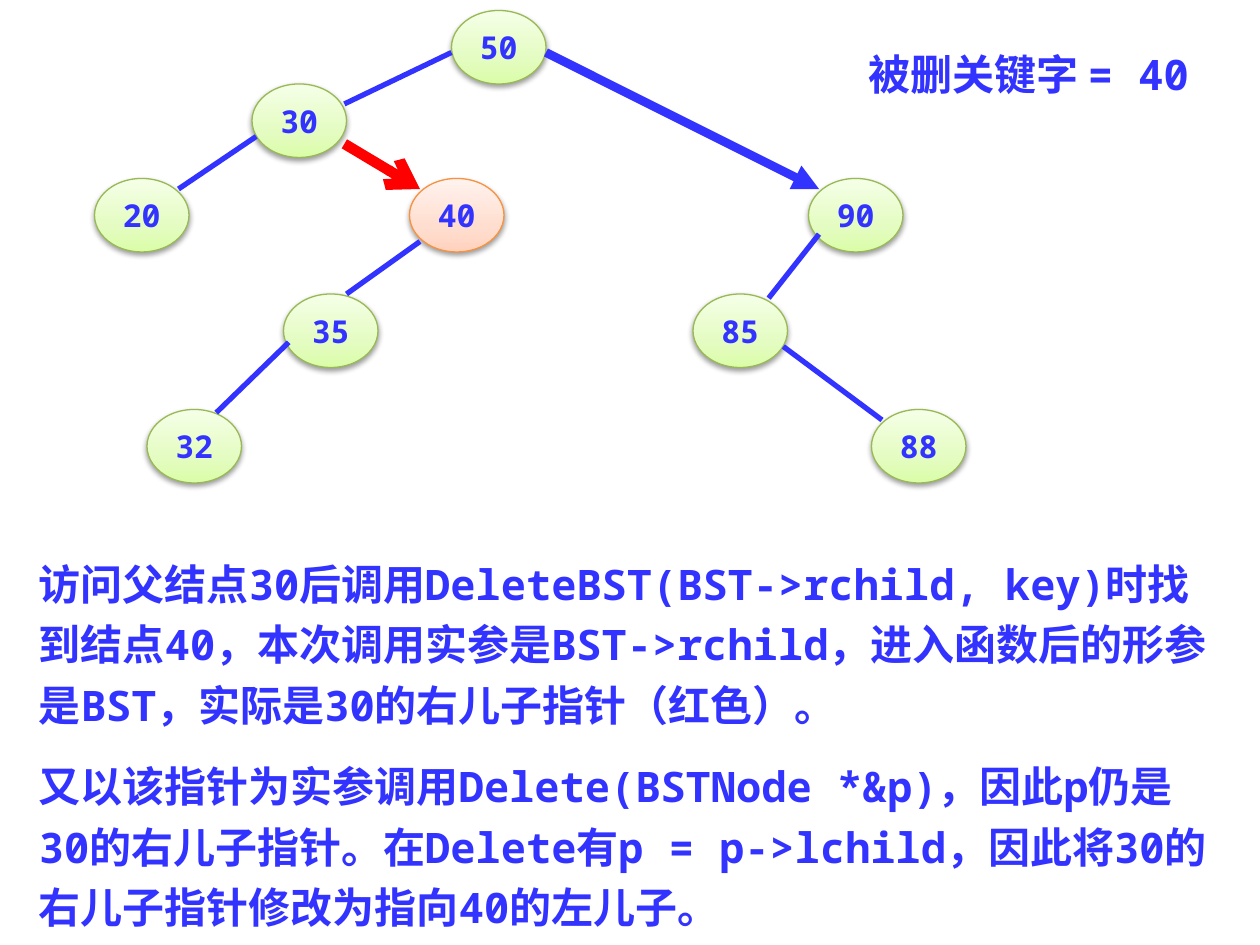
from dataclasses import dataclass

from lxml import etree
from pptx import Presentation
from pptx.dml.color import RGBColor
from pptx.enum.shapes import MSO_CONNECTOR, MSO_SHAPE
from pptx.enum.text import MSO_ANCHOR, MSO_AUTO_SIZE, PP_ALIGN
from pptx.oxml.ns import qn
from pptx.util import Inches, Pt

STRAIGHT = MSO_CONNECTOR.STRAIGHT
OVAL = MSO_SHAPE.OVAL
TOP, MIDDLE = MSO_ANCHOR.TOP, MSO_ANCHOR.MIDDLE
LEFT, CENTER = PP_ALIGN.LEFT, PP_ALIGN.CENTER
FIT_SHAPE = MSO_AUTO_SIZE.SHAPE_TO_FIT_TEXT

CELL = Inches(1) // 12  # the slide is a grid of 120 columns by 90 rows
NODE_COLUMNS, NODE_ROWS = 9, 7


@dataclass(frozen=True)
class NodeStyle:
    outline: str
    stops: tuple[tuple[int, str], ...]  # percent and colour, bottom to top


@dataclass(frozen=True)
class Theme:
    font: str = "Noto Sans Mono"
    ink: str = "3333FF"
    alert: str = "FF0000"
    text_size: int = 24
    node_size: int = 18
    plain: NodeStyle = NodeStyle(
        "98B955", ((0, "DAFDA7"), (35, "E4FCC2"), (100, "F5FFE7")))
    target: NodeStyle = NodeStyle(
        "F69240", ((0, "FFD2BD"), (35, "FFDED0"), (100, "FFF2ED")))


THEME = Theme()


@dataclass(frozen=True)
class Node:
    key: str
    column: float
    row: float
    style: NodeStyle = THEME.plain


@dataclass(frozen=True)
class Edge:
    start: tuple[float, float]
    end: tuple[float, float]
    color: str = THEME.ink
    width: float = 3
    arrowhead: str = ""


NODES = (
    Node("50", 43, 1),
    Node("30", 24, 8),
    Node("20", 9, 17),
    Node("40", 39, 17, THEME.target),
    Node("90", 77, 17),
    Node("35", 27, 28),
    Node("85", 66, 28),
    Node("32", 14, 39),
    Node("88", 83, 39),
)

EDGES = (
    Edge((43, 5), (32.8, 9.9)),
    Edge((24.4, 13), (17, 18)),
    Edge((32.8, 13.7), (40, 18), THEME.alert, 6, "arrow"),
    Edge((40, 23), (33, 28)),
    Edge((27.5, 32.6), (20.6, 39.3)),
    Edge((78, 22.3), (73.2, 28.4)),
    Edge((74.6, 33), (84, 40)),
    Edge((52, 5), (78, 18), THEME.ink, 5, "triangle"),
)

HEADING = "被删关键字 = 40"
EXPLANATION = (
    "访问父结点30后调用DeleteBST(BST->rchild, key)时找到结点40，"
    "本次调用实参是BST->rchild，进入函数后的形参是BST，"
    "实际是30的右儿子指针（红色）。",
    "又以该指针为实参调用Delete(BSTNode *&p)，因此p仍是30的右儿子指针。"
    "在Delete有p = p->lchild，因此将30的右儿子指针修改为指向40的左儿子。",
)


def cells(*lengths: float) -> list[int]:
    return [round(length * CELL) for length in lengths]


def assign(target, **values) -> None:
    for name, value in values.items():
        setattr(target, name, value)


def style_font(paragraph, size: int) -> None:
    assign(paragraph.font, name=THEME.font, size=Pt(size), bold=True)
    paragraph.font.color.rgb = RGBColor.from_string(THEME.ink)


def add_color(parent, color: str):
    return etree.SubElement(parent, qn("a:srgbClr"), val=color)


def fill_gradient(shape, stops: tuple[tuple[int, str], ...]) -> None:
    shape.fill.gradient()
    shape.fill.gradient_angle = 90
    stop_list = next(shape._element.spPr.iter(qn("a:gsLst")))
    for stop in list(stop_list):
        stop_list.remove(stop)
    for percent, color in stops:
        stop = etree.SubElement(stop_list, qn("a:gs"), pos=str(percent * 1000))
        add_color(stop, color)


def add_soft_shadow(shape) -> None:
    shape.shadow.inherit = False
    effects = shape._element.spPr.find(qn("a:effectLst"))
    shadow = etree.SubElement(
        effects, qn("a:outerShdw"), blurRad="40000", dist="20000",
        dir="5400000", rotWithShape="0")
    etree.SubElement(add_color(shadow, "000000"), qn("a:alpha"), val="38000")


def draw_node(slide, node: Node) -> None:
    shape = slide.shapes.add_shape(
        OVAL, *cells(node.column, node.row, NODE_COLUMNS, NODE_ROWS))
    fill_gradient(shape, node.style.stops)
    shape.line.color.rgb = RGBColor.from_string(node.style.outline)
    shape.line.width = Pt(0.75)
    add_soft_shadow(shape)
    frame = shape.text_frame
    assign(frame, text=node.key, word_wrap=False, vertical_anchor=MIDDLE)
    paragraph = frame.paragraphs[0]
    paragraph.alignment = CENTER
    style_font(paragraph, THEME.node_size)


def draw_edge(slide, edge: Edge) -> None:
    connector = slide.shapes.add_connector(
        STRAIGHT, *cells(*edge.start, *edge.end))
    connector.line.color.rgb = RGBColor.from_string(edge.color)
    connector.line.width = Pt(edge.width)
    if edge.arrowhead:
        etree.SubElement(
            connector.line._ln, qn("a:tailEnd"), type=edge.arrowhead)
    etree.SubElement(connector._element.spPr, qn("a:effectLst"))


def write_heading(title) -> None:
    left, top, width, height = cells(81.5, 4, 33.8, 6)
    assign(title, left=left, top=top, width=width, height=height)
    assign(title.text_frame, text=HEADING, word_wrap=False,
           vertical_anchor=TOP, auto_size=FIT_SHAPE)
    paragraph = title.text_frame.paragraphs[0]
    paragraph.alignment = LEFT
    style_font(paragraph, THEME.text_size)


def write_explanation(body) -> None:
    left, top, width, height = cells(2.5, 51.6, 114, 38.4)
    assign(body, left=left, top=top, width=width, height=height)
    frame = body.text_frame
    assign(frame, text="\n".join(EXPLANATION), word_wrap=True,
           vertical_anchor=TOP, auto_size=FIT_SHAPE)
    for index, paragraph in enumerate(frame.paragraphs):
        properties = paragraph._p.get_or_add_pPr()
        assign(paragraph, line_spacing=1.2,
               space_before=Pt(THEME.text_size / 2 if index else 0))
        properties.set("marL", "0")
        properties.set("indent", "0")
        etree.SubElement(properties, qn("a:buNone"))
        style_font(paragraph, THEME.text_size)


def main() -> None:
    presentation = Presentation()
    presentation.slide_width, presentation.slide_height = cells(120, 90)
    slide = presentation.slides.add_slide(presentation.slide_layouts[1])
    write_heading(slide.shapes.title)
    write_explanation(slide.placeholders[1])
    for node in NODES:
        draw_node(slide, node)
    for edge in EDGES:
        draw_edge(slide, edge)
    presentation.save("out.pptx")


if __name__ == "__main__":
    main()
